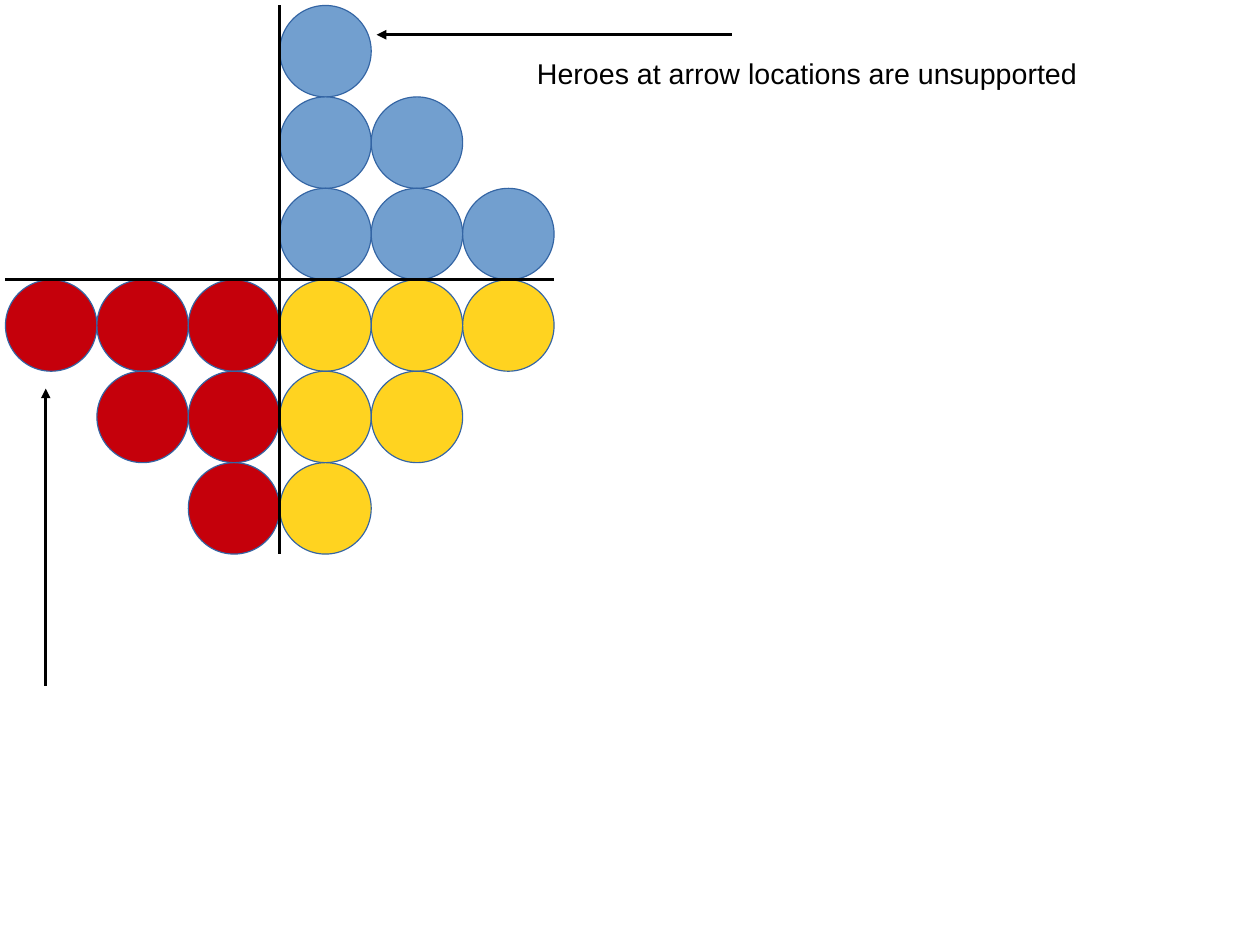
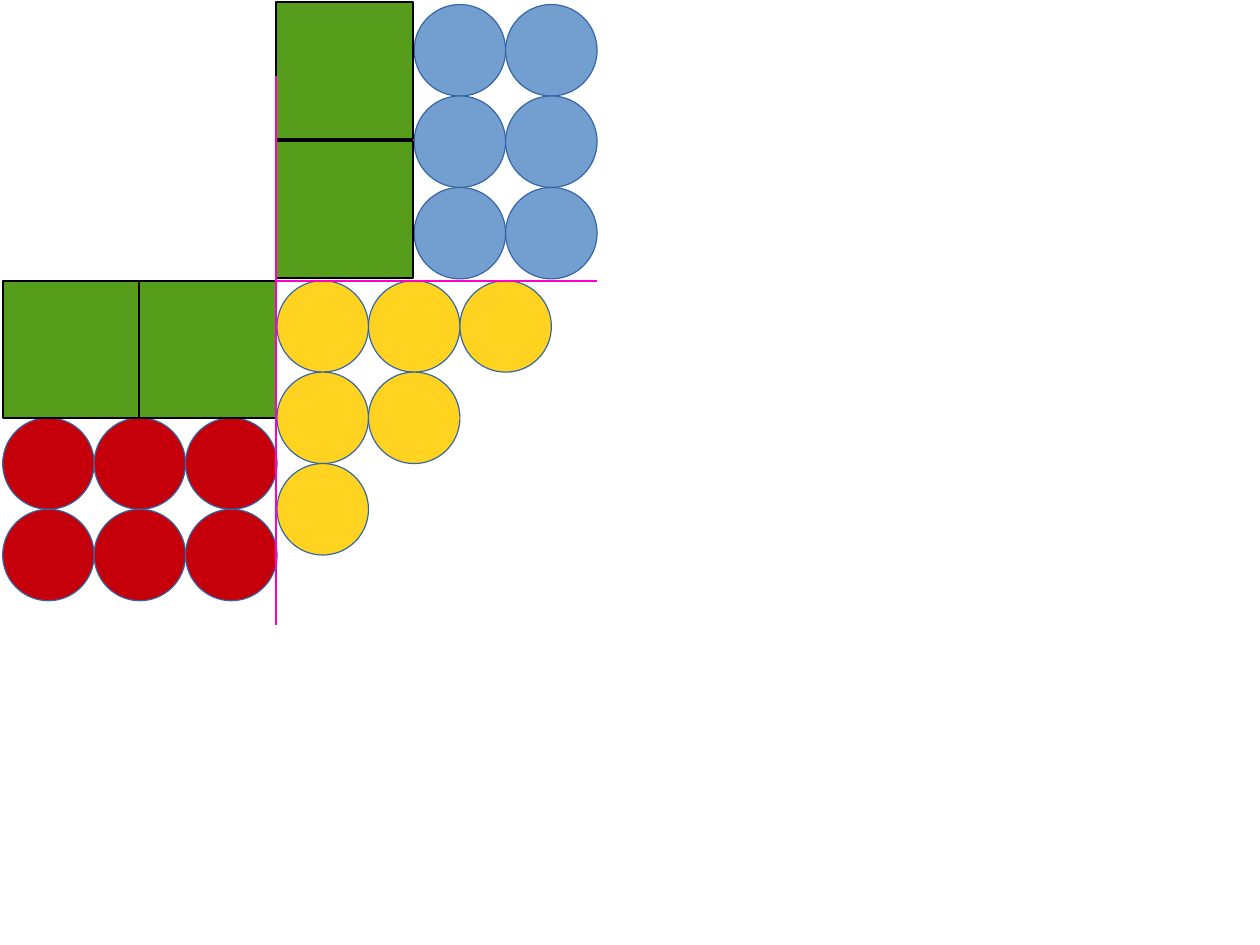
"""Draw two board layouts of circles and squares around crossing axes."""
from dataclasses import dataclass
from typing import Optional, Union

from lxml import etree
from pptx import Presentation
from pptx import util as u
from pptx.dml.color import RGBColor
from pptx.enum import shapes, text
from pptx.oxml.ns import qn

WHITE = RGBColor(0xFF, 0xFF, 0xFF)
BLACK = RGBColor(0x00, 0x00, 0x00)
BLUE = RGBColor(0x72, 0x9F, 0xCF)
RED = RGBColor(0xC5, 0x00, 0x0B)
YELLOW = RGBColor(0xFF, 0xD3, 0x20)
GREEN = RGBColor(0x57, 0x9D, 0x1C)
MAGENTA = RGBColor(0xFF, 0x00, 0xCC)
RIM = RGBColor(0x34, 0x65, 0xA4)
FONT = "Arial"
CELL = 0.8
THICK = 1.45
OVAL = shapes.MSO_SHAPE.OVAL
SQUARE = shapes.MSO_SHAPE.RECTANGLE


@dataclass(frozen=True)
class Tiles:
    col: float
    row: float
    pattern: tuple[str, ...]
    fill: RGBColor
    kind: shapes.MSO_SHAPE = OVAL
    side: float = 1
    pitch: float = 1
    rim: RGBColor = RIM
    weight: Optional[float] = None


@dataclass(frozen=True)
class Line:
    start: tuple[float, float]
    end: tuple[float, float]
    color: RGBColor = BLACK
    weight: Optional[float] = None
    arrow: bool = False


@dataclass(frozen=True)
class Label:
    col: float
    row: float
    cols: float
    rows: float
    words: str


@dataclass(frozen=True)
class Board:
    col: float
    row: float
    items: tuple[Union[Tiles, Line, Label], ...]


def span(cells: float) -> u.Length:
    return u.Inches(cells * CELL)


def set_line(sp, color: RGBColor, weight: Optional[float]) -> None:
    sp.line.color.rgb = color
    if weight:
        sp.line.width = u.Pt(weight)


def draw_tiles(s, board: Board, tiles: Tiles) -> None:
    for j, marks in enumerate(tiles.pattern):
        for i, mark in enumerate(marks):
            if mark != "o":
                continue
            sp = s.shapes.add_shape(
                tiles.kind,
                span(board.col + tiles.col + i * tiles.pitch),
                span(board.row + tiles.row + j * tiles.pitch),
                span(tiles.side), span(tiles.side))
            sp.shadow.inherit = False
            sp.fill.solid()
            sp.fill.fore_color.rgb = tiles.fill
            set_line(sp, tiles.rim, tiles.weight)


def draw_line(s, board: Board, line: Line) -> None:
    (x1, y1), (x2, y2) = line.start, line.end
    cx = s.shapes.add_connector(
        shapes.MSO_CONNECTOR.STRAIGHT,
        span(board.col + x1), span(board.row + y1),
        span(board.col + x2), span(board.row + y2))
    set_line(cx, line.color, line.weight)
    if line.arrow:
        etree.SubElement(cx.get_or_add_ln(), qn("a:tailEnd"), type="triangle")
    etree.SubElement(cx.element.spPr, qn("a:effectLst"))


def draw_label(s, board: Board, label: Label) -> None:
    tb = s.shapes.add_textbox(
        span(board.col + label.col), span(board.row + label.row),
        span(label.cols), span(label.rows))
    tf = tb.text_frame
    tf.word_wrap = True
    tf.vertical_anchor = text.MSO_ANCHOR.TOP
    r = tf.paragraphs[0].add_run()
    r.text = label.words
    r.font.name = FONT
    r.font.size = u.Pt(18)
    r.font.color.rgb = BLACK


DRAW = {Tiles: draw_tiles, Line: draw_line, Label: draw_label}
RISING = ("o", "oo", "ooo")
FALLING = ("ooo", "oo", "o")
MIRRORED = ("ooo", ".oo", "..o")
SQUARES = dict(fill=GREEN, kind=SQUARE, side=1.5, rim=BLACK, weight=THICK)

BOARDS = (
    Board(3.06, 3.06, (
        Tiles(0, -3, RISING, BLUE),
        Tiles(-3, 0, MIRRORED, RED),
        Tiles(0, 0, FALLING, YELLOW),
        Line((0, -3), (0, 3)),
        Line((-3, 0), (3, 0)),
        Line((-2.56, 4.44), (-2.56, 1.19), arrow=True),
        Line((4.94, -2.68), (1.06, -2.68), arrow=True),
        Label(2.69, -2.51, 6.5, 0.83, "Heroes at arrow locations are unsupported"),
    )),
    Board(3.03, 3.07, (
        Tiles(1.5, -3.02, ("oo",) * 3, BLUE),
        Tiles(-3, 1.5, ("ooo",) * 2, RED),
        Tiles(0, 0, FALLING, YELLOW),
        Line((-2.38, 0), (3.5, 0), MAGENTA, THICK),
        Tiles(-3, 0, ("oo",), pitch=1.49, **SQUARES),
        Tiles(-0.01, -3.05, ("o", "o"), pitch=1.52, **SQUARES),
        Line((-0.01, -2.24), (-0.01, 3.76), MAGENTA, THICK),
    )),
)


def main() -> None:
    prs = Presentation()
    prs.slide_width, prs.slide_height = u.Cm(28), u.Cm(21)
    for board in BOARDS:
        s = prs.slides.add_slide(prs.slide_layouts[6])
        s.background.fill.solid()
        s.background.fill.fore_color.rgb = WHITE
        for item in board.items:
            DRAW[type(item)](s, board, item)
    prs.save("out.pptx")


main()
